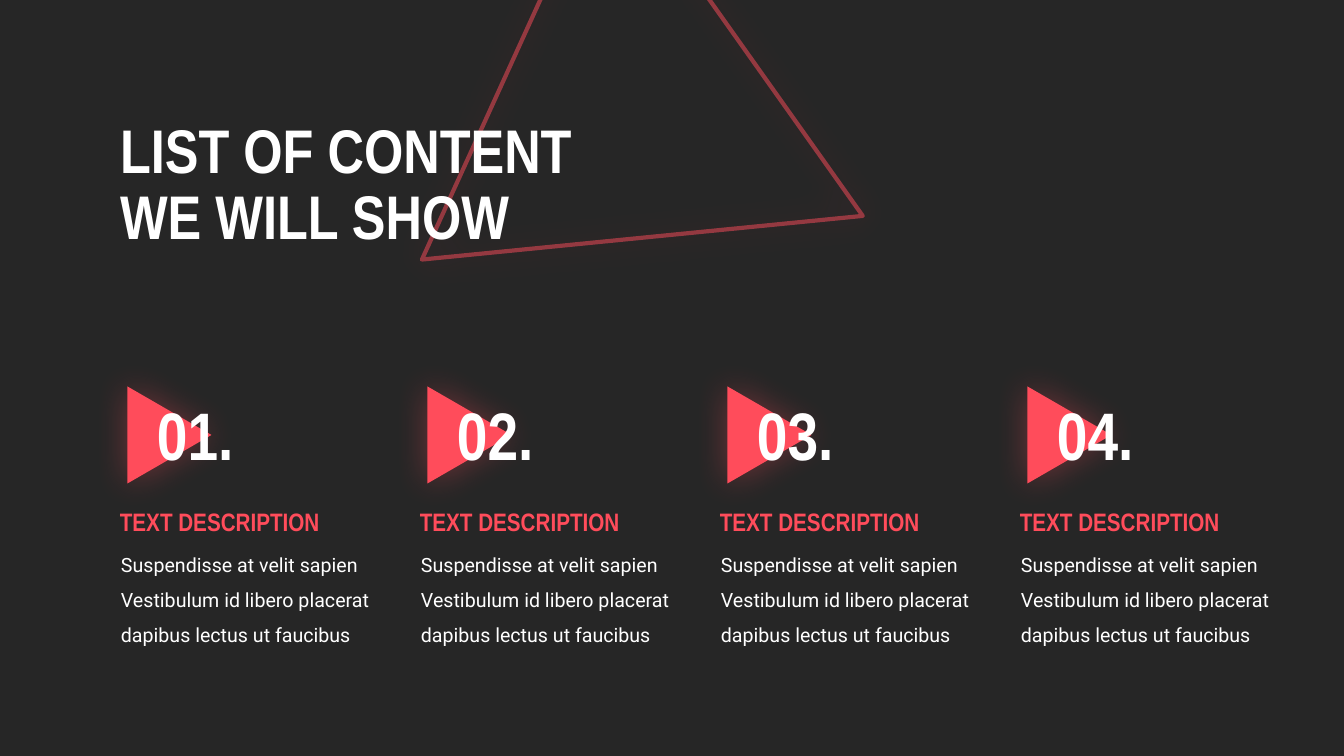
from dataclasses import dataclass

from lxml import etree
from pptx import Presentation
from pptx.dml.color import RGBColor
from pptx.enum.shapes import MSO_SHAPE
from pptx.enum.text import MSO_ANCHOR, MSO_AUTO_SIZE, PP_ALIGN
from pptx.oxml.ns import qn
from pptx.util import Emu, Pt

TRIANGLE = MSO_SHAPE.ISOSCELES_TRIANGLE
LEFT = PP_ALIGN.LEFT
MIDDLE = MSO_ANCHOR.MIDDLE
FIXED = MSO_AUTO_SIZE.NONE
GROW = MSO_AUTO_SIZE.SHAPE_TO_FIT_TEXT

EMU_PER_PX = 914400 / 100.8
COLUMN_STEP = 300
HEADING = "TEXT DESCRIPTION"
DESCRIPTION = (
    "Suspendisse at velit sapien Vestibulum id libero placerat "
    "dapibus lectus ut faucibus"
)
NUMBERS = ("01.", "02.", "03.", "04.")


@dataclass(frozen=True)
class Theme:
    """Colours, fonts and type sizes of the slide."""

    background: str = "262626"
    accent: str = "FF4C5B"
    white: str = "FFFFFF"
    display_font: str = "Arial Narrow"
    body_font: str = "Roboto"
    title_size: int = 44
    number_size: int = 48
    heading_size: int = 18
    body_size: int = 14


THEME = Theme()


def px(length):
    """Turn pixels into EMU."""
    return Emu(round(length * EMU_PER_PX))


def rgb(colour):
    """Turn a hex string into a colour."""
    return RGBColor.from_string(colour)


def add_alpha(colour_element, percent):
    """Set the opacity of a colour element."""
    etree.SubElement(colour_element, qn("a:alpha"), val=str(percent * 1000))


def add_glow(shape):
    """Give a shape a soft accent shadow without offset."""
    shape.shadow.inherit = False
    effects = shape._element.spPr.find(qn("a:effectLst"))
    shadow = etree.SubElement(
        effects, qn("a:outerShdw"), blurRad=str(Pt(25)), dist="0", dir="0",
        algn="ctr", rotWithShape="0",
    )
    colour = etree.SubElement(shadow, qn("a:srgbClr"), val=THEME.accent)
    add_alpha(colour, 35)


def add_triangle(slide, left, top, width, height, rotation):
    """Add a glowing triangle."""
    triangle = slide.shapes.add_shape(
        TRIANGLE, px(left), px(top), px(width), px(height)
    )
    triangle.rotation = rotation
    add_glow(triangle)
    return triangle


def add_outline_triangle(slide):
    """Add the large half-transparent outline behind the title."""
    triangle = add_triangle(slide, 466, -55, 445, 383, 114.5)
    triangle.fill.background()
    triangle.line.color.rgb = rgb(THEME.accent)
    triangle.line.width = Pt(3)
    add_alpha(triangle._element.spPr.find(".//" + qn("a:ln")).find(".//" + qn("a:srgbClr")), 50)
    slide.shapes.title._element.addprevious(triangle._element)


def add_marker(slide, left):
    """Add the solid triangle that points right."""
    marker = add_triangle(slide, left, 393, 97, 84, 90)
    marker.fill.solid()
    marker.fill.fore_color.rgb = rgb(THEME.accent)
    marker.line.fill.background()


def write_text(frame, text, font, size, colour, bold=True, spacing=None):
    """Write one formatted left-aligned paragraph."""
    frame.word_wrap = True
    para = frame.paragraphs[0]
    para.text = text
    para.alignment = LEFT
    para.line_spacing = spacing
    para.font.name = font
    para.font.size = Pt(size)
    para.font.bold = bold
    para.font.color.rgb = rgb(colour)


def add_text(slide, left, top, width, height, *style, **options):
    """Add a text box that grows with its text."""
    box = slide.shapes.add_textbox(px(left), px(top), px(width), px(height))
    write_text(box.text_frame, *style, **options)
    box.text_frame.auto_size = GROW


def set_title(slide):
    """Place and fill the title placeholder."""
    title = slide.shapes.title
    title.left, title.top, title.width, title.height = map(px, (110, 107, 566, 159))
    frame = title.text_frame
    frame.auto_size = FIXED
    frame.vertical_anchor = MIDDLE
    write_text(
        frame, "LIST OF CONTENT\vWE WILL SHOW", THEME.display_font,
        THEME.title_size, THEME.white, spacing=0.9,
    )


def add_column(slide, left, number):
    """Add one numbered content column."""
    add_marker(slide, left + 11)
    add_text(slide, left + 37, 388, 134, 92, number,
             THEME.display_font, THEME.number_size, THEME.white)
    add_text(slide, left + 1, 536, 283, 113, DESCRIPTION,
             THEME.body_font, THEME.body_size, THEME.white, bold=False, spacing=1.5)
    add_text(slide, left, 501, 247, 40, HEADING,
             THEME.display_font, THEME.heading_size, THEME.accent)


def main():
    """Build the slide and save the deck."""
    deck = Presentation()
    deck.slide_width, deck.slide_height = px(1344), px(756)
    slide = deck.slides.add_slide(deck.slide_layouts[5])
    slide.background.fill.solid()
    slide.background.fill.fore_color.rgb = rgb(THEME.background)
    set_title(slide)
    add_outline_triangle(slide)
    for index, number in enumerate(NUMBERS):
        add_column(slide, 110 + index * COLUMN_STEP, number)
    deck.save("out.pptx")


if __name__ == "__main__":
    main()
